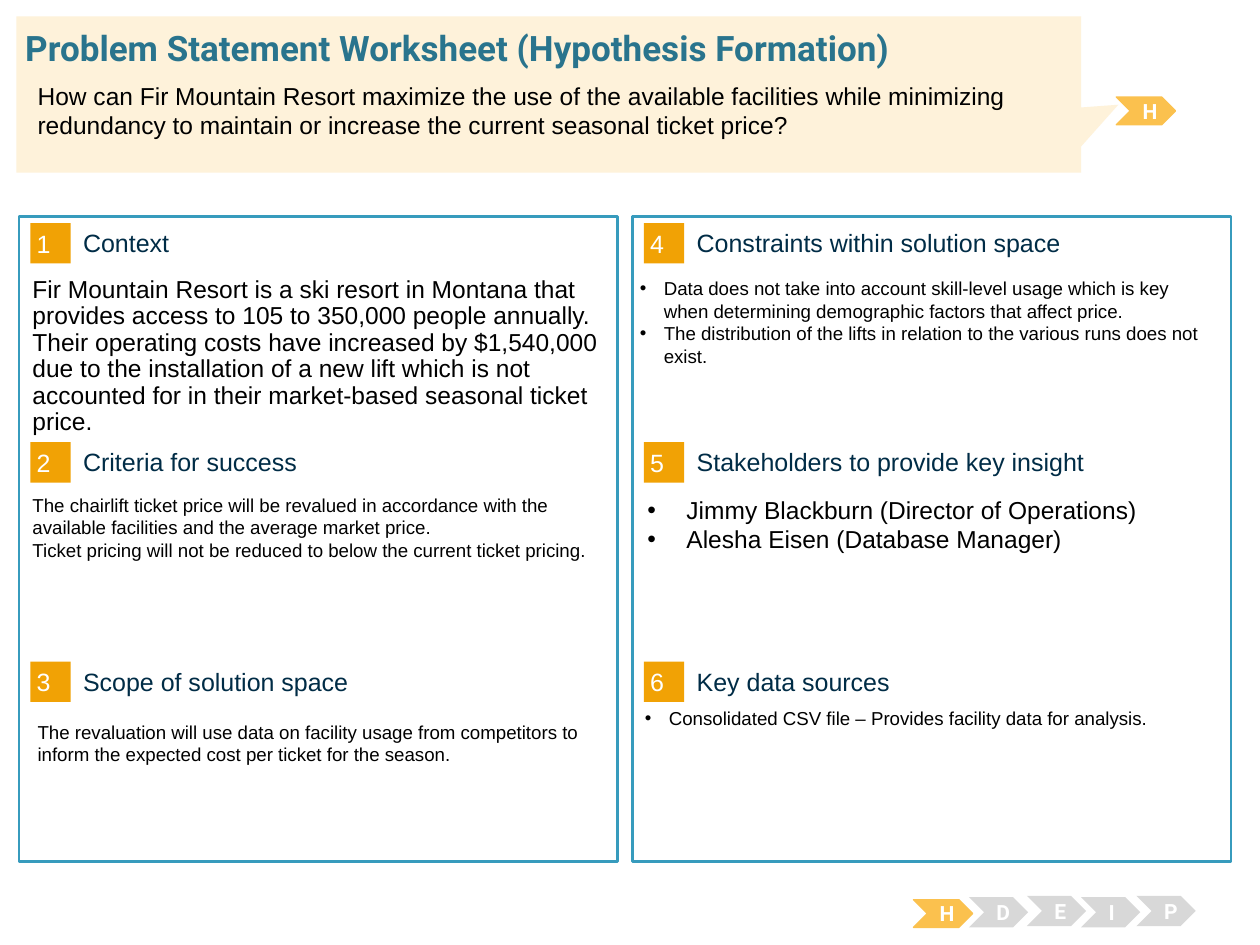
from lxml import etree
from pptx import Presentation
from pptx.dml.color import RGBColor
from pptx.enum.shapes import MSO_SHAPE
from pptx.enum.text import MSO_ANCHOR, PP_ALIGN
from pptx.oxml.ns import qn
from pptx.util import Inches, Pt

RECTANGLE = MSO_SHAPE.RECTANGLE
CHEVRON = MSO_SHAPE.CHEVRON
CALLOUT = MSO_SHAPE.RECTANGULAR_CALLOUT
TOP = MSO_ANCHOR.TOP
MIDDLE = MSO_ANCHOR.MIDDLE
LEFT = PP_ALIGN.LEFT
CENTER = PP_ALIGN.CENTER

BLACK, WHITE = "000000", "FFFFFF"
AMBER, GRAY = "FBC14E", "D8D8D8"
BOX_INSETS = (0.1, 0.05)
COLUMN_LEFTS = (0.15, 5.02)
FIRST_ROW, ROW_STEP = 1.77, 1.74
HEADINGS = (
    ("Context", "Criteria for success", "Scope of solution space"),
    ("Constraints within solution space", "Stakeholders to provide key insight", "Key data sources"),
)
QUESTION = (
    "How can Fir Mountain Resort maximize the use of the available facilities while minimizing "
    "redundancy to maintain or increase the current seasonal ticket price?"
)
CONTEXT = (
    "Fir Mountain Resort is a ski resort in Montana that provides access to 105 to 350,000 people "
    "annually. Their operating costs have increased by $1,540,000 due to the installation of a new "
    "lift which is not accounted for in their market-based seasonal ticket price."
)
CRITERIA = (
    "The chairlift ticket price will be revalued in accordance with the available facilities and "
    "the average market price.",
    "Ticket pricing will not be reduced to below the current ticket pricing.",
)
SCOPE = (
    "The revaluation will use data on facility usage from competitors to inform the expected cost "
    "per ticket for the season."
)
CONSTRAINTS = (
    "Data does not take into account skill-level usage which is key when determining demographic "
    "factors that affect price.",
    "The distribution of the lifts in relation to the various runs does not exist.",
)
STAKEHOLDERS = ("Jimmy Blackburn (Director of Operations)", "Alesha Eisen (Database Manager)")
SOURCES = ("Consolidated CSV file – Provides facility data for analysis.",)
STEPS = (("H", 7.25, 7.14), ("D", 7.69, 7.12), ("E", 8.15, 7.11), ("I", 8.58, 7.12), ("P", 9.02, 7.11))


def color(value):
    return RGBColor.from_string(value)


def add_bullet(paragraph, indent):
    properties = paragraph._p.get_or_add_pPr()
    properties.set("marL", str(Inches(indent)))
    properties.set("indent", str(-Inches(indent)))
    bullet_color = etree.SubElement(properties, qn("a:buClr"))
    etree.SubElement(bullet_color, qn("a:srgbClr")).set("val", BLACK)
    etree.SubElement(properties, qn("a:buFont")).set("typeface", "Arial")
    etree.SubElement(properties, qn("a:buChar")).set("char", "•")


def set_text(shape, lines, size, text_color, font="Arial", bold=False, anchor=TOP,
             align=LEFT, insets=BOX_INSETS, spacing=None, indent=None):
    frame = shape.text_frame
    frame.word_wrap = True
    frame.vertical_anchor = anchor
    frame.margin_left = frame.margin_right = Inches(insets[0])
    frame.margin_top = frame.margin_bottom = Inches(insets[1])
    frame.text = "\n".join(lines)
    for paragraph in frame.paragraphs:
        paragraph.alignment = align
        paragraph.font.size = Pt(size)
        paragraph.font.name = font
        paragraph.font.bold = bold
        paragraph.font.color.rgb = color(text_color)
        if spacing:
            paragraph.line_spacing = spacing
        if indent:
            add_bullet(paragraph, indent)


def add_box(slide, kind, left, top, width, height, fill, line=None, line_width=0.75):
    shape = slide.shapes.add_shape(kind, Inches(left), Inches(top), Inches(width), Inches(height))
    shape.shadow.inherit = False
    shape.fill.solid()
    shape.fill.fore_color.rgb = color(fill)
    if line:
        shape.line.color.rgb = color(line)
        shape.line.width = Pt(line_width)
    else:
        shape.line.fill.background()
    return shape


def add_text(slide, left, top, width, height, lines, size, text_color=BLACK, **style):
    box = slide.shapes.add_textbox(Inches(left), Inches(top), Inches(width), Inches(height))
    set_text(box, lines, size, text_color, **style)


def add_heading(slide, left, top, number, heading):
    badge = add_box(slide, RECTANGLE, left + 0.09, top, 0.32, 0.32, "F1A205")
    set_text(badge, [str(number)], 14.3, WHITE, anchor=MIDDLE, insets=(0.05, 0.05))
    add_text(slide, left + 0.51, top + 0.03, 3.93, 0.25, [heading], 14.3, "002C46",
             anchor=MIDDLE, insets=(0, 0))


def add_step(slide, letter, left, top):
    active = letter == "H"
    fill = AMBER if active else GRAY
    height = 0.22 if active else 0.24
    chevron = add_box(slide, CHEVRON, left, top, 0.47, height, fill, AMBER if active else None)
    set_text(chevron, [letter], 12, WHITE, font="Roboto", bold=True, anchor=MIDDLE, align=CENTER)


def add_title(slide, text):
    title = slide.shapes.title
    title.left, title.top = Inches(0.2), Inches(0.21)
    title.width, title.height = Inches(9.62), Inches(0.34)
    set_text(title, [text], 20, "29748D", font="Roboto", bold=True, insets=(0, 0))
    title.element.getparent().append(title.element)


def main():
    presentation = Presentation()
    presentation.slide_width, presentation.slide_height = Inches(10), Inches(7.5)
    slide = presentation.slides.add_slide(presentation.slide_layouts[5])

    for column, (left, headings) in enumerate(zip(COLUMN_LEFTS, HEADINGS)):
        add_box(slide, RECTANGLE, left, 1.72, 4.75, 5.12, WHITE, "379BBD", 1.5)
        for row, heading in enumerate(headings):
            number = column * len(headings) + row + 1
            add_heading(slide, left, FIRST_ROW + row * ROW_STEP, number, heading)

    add_text(slide, 0.16, 2.15, 4.73, 1.36, [CONTEXT], 14, spacing=0.9)
    add_text(slide, 0.16, 3.87, 4.73, 1.54, CRITERIA, 10.7)
    add_text(slide, 0.2, 5.67, 4.73, 0.82, [SCOPE], 10.7)
    add_text(slide, 4.98, 2.15, 4.73, 1.18, CONSTRAINTS, 10.7, indent=0.19)
    add_text(slide, 5.04, 3.88, 4.73, 1.18, STAKEHOLDERS, 14, indent=0.31)
    add_text(slide, 5.02, 5.56, 4.73, 1.18, SOURCES, 10.7, indent=0.19)

    for letter, left, top in STEPS:
        add_step(slide, letter, left, top)
    add_step(slide, "H", 8.86, 0.77)

    callout = add_box(slide, CALLOUT, 0.13, 0.13, 8.45, 1.24, "FEF2DA")
    callout.adjustments[0], callout.adjustments[1] = 0.535, 0.066
    add_title(slide, "Problem Statement Worksheet (Hypothesis Formation)")
    add_text(slide, 0.2, 0.59, 8.38, 0.54, [QUESTION], 14)

    presentation.save("out.pptx")


if __name__ == "__main__":
    main()
